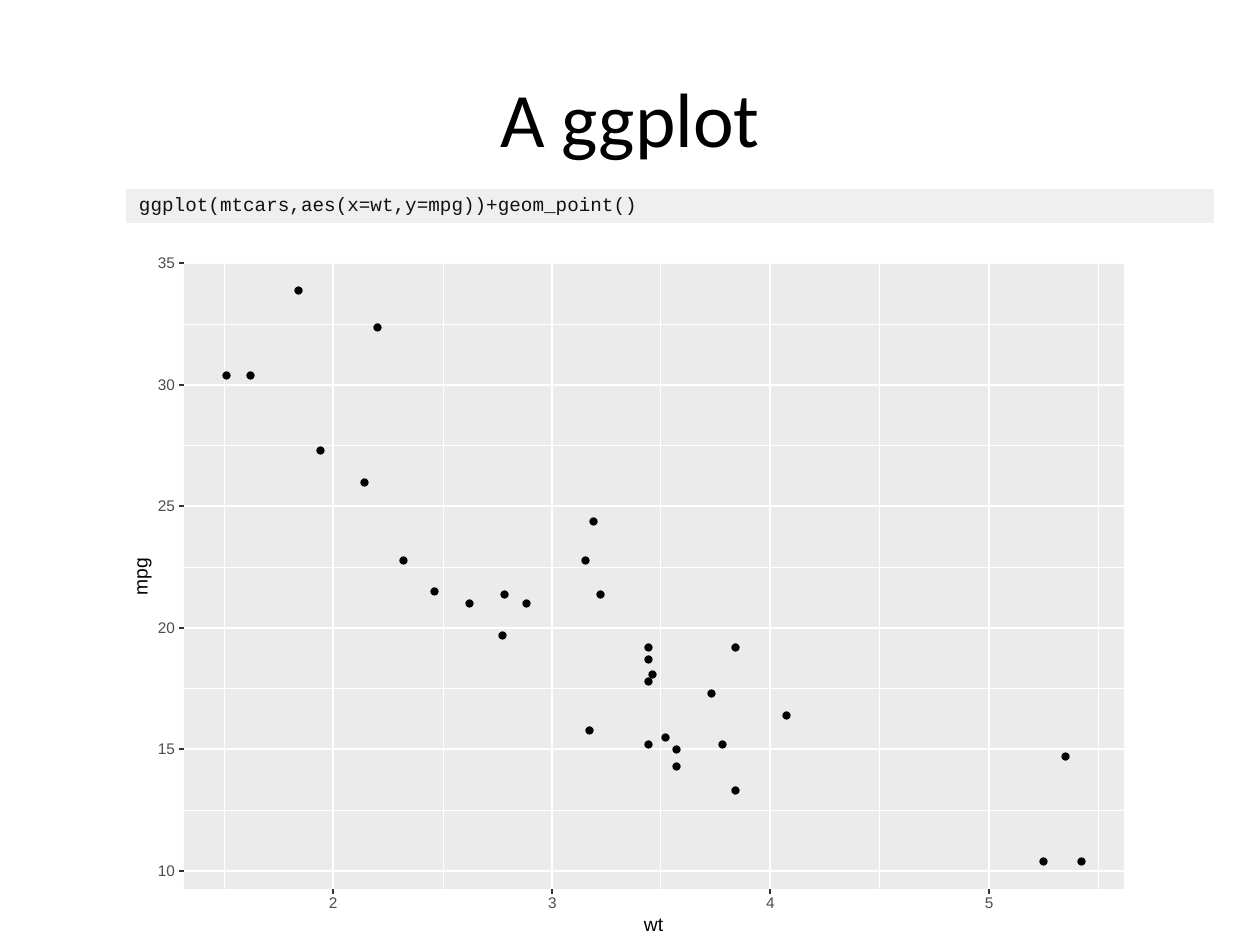
"""Draw the slide with a code line and a scatter plot of car weight against mileage."""
import pptx
import pptx.dml.color
import pptx.enum.shapes
import pptx.enum.text
import pptx.oxml
import pptx.oxml.ns
import pptx.util

SCALE = 914400 / 126
COLORS = {"black": "000000", "white": "FFFFFF", "panel": "EBEBEB",
          "code": "EFEFEF", "ink": "111111", "tick": "333333", "label": "4D4D4D"}
ANCHOR = pptx.enum.text.MSO_ANCHOR
ALIGN = pptx.enum.text.PP_ALIGN
SHAPE = pptx.enum.shapes.MSO_SHAPE
PLAIN = "{2D5ABB26-0587-4C30-8999-92F81FD0307C}"
FLAT = {"margin_left": 0, "margin_right": 0, "margin_top": 0, "margin_bottom": 0,
        "vertical_anchor": ANCHOR.MIDDLE}
LEFT, TOP, WIDTH, HEIGHT = 184, 262, 940, 627
RIGHT, BASE = LEFT + WIDTH, TOP + HEIGHT
CARS = [(2.62, 21), (2.88, 21), (2.32, 22.8), (3.22, 21.4), (3.44, 18.7), (3.46, 18.1),
        (3.57, 14.3), (3.19, 24.4), (3.15, 22.8), (3.44, 19.2), (3.44, 17.8), (4.07, 16.4),
        (3.73, 17.3), (3.78, 15.2), (5.25, 10.4), (5.42, 10.4), (5.35, 14.7), (2.2, 32.4),
        (1.62, 30.4), (1.84, 33.9), (2.46, 21.5), (3.52, 15.5), (3.44, 15.2), (3.84, 13.3),
        (3.84, 19.2), (1.94, 27.3), (2.14, 26), (1.51, 30.4), (3.17, 15.8), (2.77, 19.7),
        (3.57, 15), (2.78, 21.4)]


def emu(*sizes):
    return [pptx.util.Emu(round(size * SCALE)) for size in sizes]


def tint(name):
    return pptx.dml.color.RGBColor.from_string(COLORS[name])


def apply(item, values):
    for name, value in values.items():
        setattr(item, name, value)


def col(weight):
    return round(333.3 + 218.5 * (weight - 2))


def row(miles):
    return round(870.6 - 24.29 * (miles - 10))


class Pen:
    """Hold the style and the current slide, and draw each kind of element."""

    def __init__(self, deck):
        self.slide = deck.slides.add_slide(deck.slide_layouts[5])
        self.group = None

    def style(self, part, words, face, size, color):
        run = part.add_run()
        run.text = words
        apply(run.font, {"name": face, "size": pptx.util.Pt(size), "bold": False})
        run.font.color.rgb = tint(color)

    def title(self, words, *box):
        head = self.slide.shapes.title
        apply(head, dict(zip(("left", "top", "width", "height"), emu(*box))))
        head.text_frame.vertical_anchor = ANCHOR.MIDDLE
        part = head.text_frame.paragraphs[0]
        part.alignment = ALIGN.CENTER
        self.style(part, words, "Calibri", 44, "black")

    def code(self, words, left, top, widths, height):
        frame = self.slide.shapes.add_table(1, 2, *emu(left, top, sum(widths), height))
        table = frame.table
        apply(table, {"first_row": False, "horz_banding": False})
        table._tbl.tblPr.find(pptx.oxml.ns.qn("a:tableStyleId")).text = PLAIN
        table.rows[0].height = emu(height)[0]
        for index, width in enumerate(widths):
            table.columns[index].width = emu(width)[0]
            cell = table.cell(0, index)
            apply(cell, FLAT)
            cell.fill.solid()
            cell.fill.fore_color.rgb = tint("code")
        blank = table.cell(0, 0).text_frame.paragraphs[0]
        end = pptx.oxml.parse_xml(
            f'<a:endParaRPr {pptx.oxml.ns.nsdecls("a")} sz="1100"/>')
        blank._p.append(end)
        part = table.cell(0, 1).text_frame.paragraphs[0]
        self.style(part, words, "Courier New", 11, "ink")

    def start(self):
        self.group = self.slide.shapes.add_group_shape().shapes

    def shape(self, kind, box, fill, edge=None, weight=0):
        item = self.group.add_shape(kind, *emu(*box))
        item.shadow.inherit = False
        item.fill.solid()
        item.fill.fore_color.rgb = tint(fill)
        if edge:
            item.line.color.rgb = tint(edge)
            item.line.width = pptx.util.Pt(weight)
        else:
            item.line.fill.background()

    def line(self, ends, color, weight):
        kind = pptx.enum.shapes.MSO_CONNECTOR.STRAIGHT
        item = self.group.add_connector(kind, *emu(*ends))
        item.line.color.rgb = tint(color)
        item.line.width = pptx.util.Pt(weight)
        item._element.spPr.append(pptx.oxml.parse_xml(
            f'<a:effectLst {pptx.oxml.ns.nsdecls("a")}/>'))

    def label(self, words, box, size, color, turn=0):
        item = self.group.add_textbox(*emu(*box))
        item.rotation = turn
        apply(item.text_frame, {**FLAT, "word_wrap": False})
        part = item.text_frame.paragraphs[0]
        part.line_spacing = pptx.util.Pt(size)
        self.style(part, words, "Arial", size, color)

    def grid(self, weights, miles, weight):
        for mark in miles:
            self.line((LEFT, row(mark), RIGHT, row(mark)), "white", weight)
        for mark in weights:
            self.line((col(mark), BASE, col(mark), TOP), "white", weight)


def main():
    deck = pptx.Presentation()
    deck.slide_width, deck.slide_height = emu(1260, 945)
    pen = Pen(deck)
    pen.title("A ggplot", 63, 38, 1134, 158)
    pen.code("ggplot(mtcars,aes(x=wt,y=mpg))+geom_point()", 126, 189, (13, 1075), 34)

    pen.start()
    pen.shape(SHAPE.RECTANGLE, (126, 252, 1008, 693), "white", "white", 1.07)
    pen.shape(SHAPE.RECTANGLE, (LEFT, TOP, WIDTH, HEIGHT), "panel")
    weights, miles = range(2, 6), range(10, 36, 5)
    pen.grid([n + 0.5 for n in range(1, 6)], [n + 2.5 for n in miles[:-1]], 0.53)
    pen.grid(weights, miles, 1.07)
    for weight, mile in CARS:
        pen.shape(SHAPE.OVAL, (col(weight) - 3, row(mile) - 3, 7, 7), "black", "black", 0.71)

    for mark in miles:
        pen.label(str(mark), (158, row(mark) - 5, 19, 11), 8.8, "label")
        pen.line((LEFT - 5, row(mark), LEFT, row(mark)), "tick", 1.07)
    for mark in weights:
        pen.line((col(mark), BASE + 5, col(mark), BASE), "tick", 1.07)
        pen.label(str(mark), (col(mark) - 4, 898, 9, 11), 8.8, "label")
    pen.label("wt", (644, 919, 22, 13), 11, "black")
    pen.label("mpg", (122, 568, 40, 15), 11, "black", 270)
    deck.save("out.pptx")


if __name__ == "__main__":
    main()
